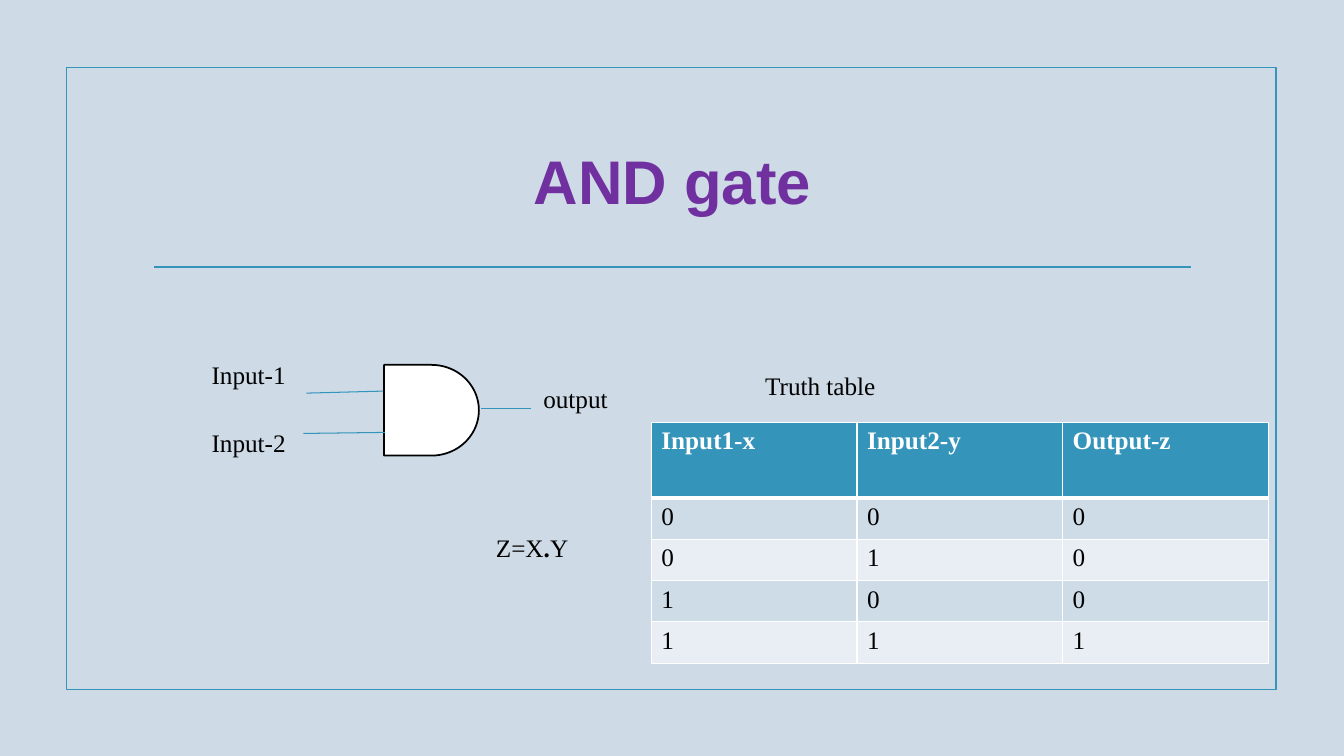
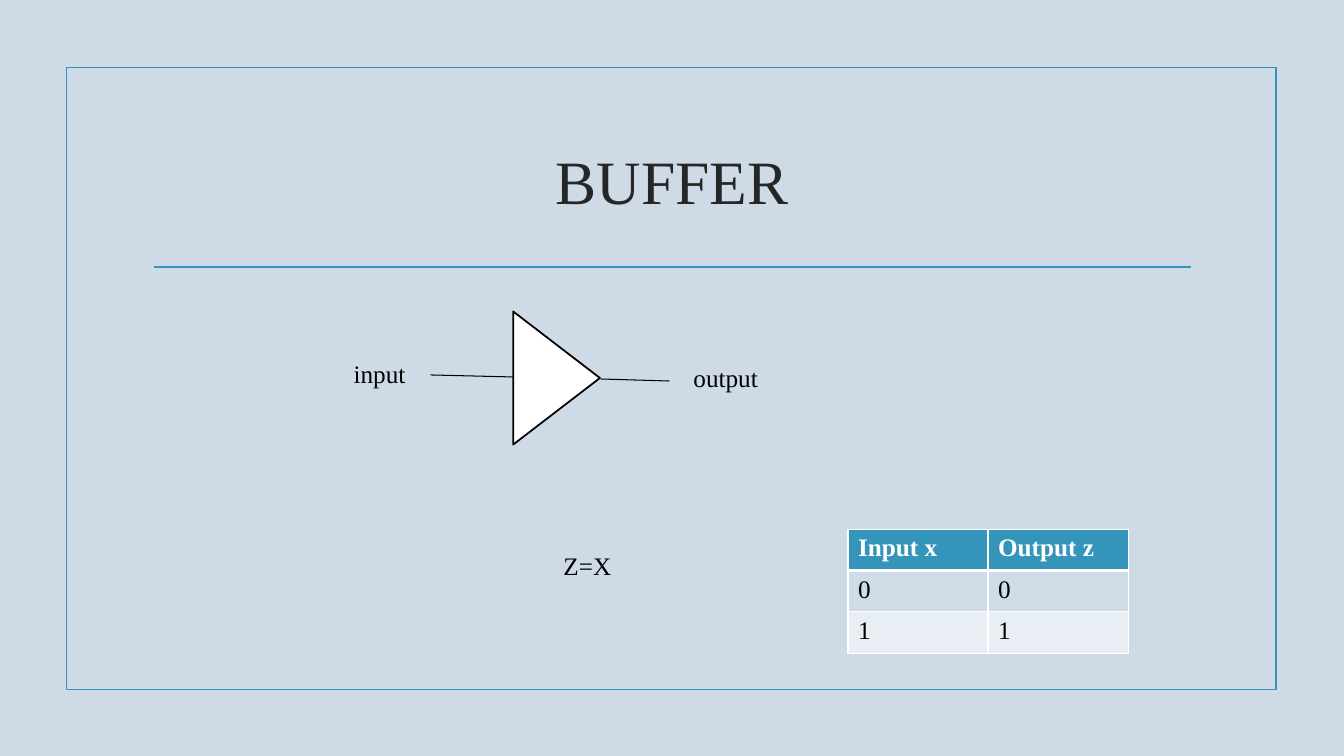
from dataclasses import dataclass

from lxml.etree import SubElement
from pptx import Presentation
from pptx.dml.color import RGBColor
from pptx.enum.shapes import MSO_CONNECTOR, MSO_SHAPE as SHAPE
from pptx.enum.text import MSO_ANCHOR as ANCHOR, MSO_AUTO_SIZE as AUTO, PP_ALIGN as ALIGN
from pptx.oxml.ns import qn
from pptx.util import Inches, Pt


@dataclass(frozen=True)
class Theme:
    background: str = "CEDBE6"
    accent: str = "3494BA"
    purple: str = "7030A0"
    dark: str = "262626"
    black: str = "000000"
    white: str = "FFFFFF"
    bands: tuple = ("CEDCE7", "E8EEF3")
    font: str = "Times New Roman"
    title_font: str = "Arial"
    title_size: int = 44
    body_size: int = 18
    line: float = 1.25
    thin: float = 0.75
    row: float = 0.41


T = Theme()


def rgb(color):
    return RGBColor.from_string(color)


# Text
def write(tf, text, font=T.font, size=T.body_size, color=T.black, bold=False, align=ALIGN.LEFT):
    """Write one paragraph; text is a string or a list of (string, bold) runs."""
    p = tf.paragraphs[0]
    p.alignment = align
    runs = [(text, bold)] if isinstance(text, str) else text
    for content, is_bold in runs:
        r = p.add_run()
        r.text = content
        r.font.name, r.font.size, r.font.bold = font, Pt(size), is_bold
        r.font.color.rgb = rgb(color)


def add_text(shapes, text, x, y, w, h=0.4, anchor=ANCHOR.TOP, grow=True, **fmt):
    tf = shapes.add_textbox(Inches(x), Inches(y), Inches(w), Inches(h)).text_frame
    tf.word_wrap = True
    tf.auto_size = AUTO.SHAPE_TO_FIT_TEXT if grow else AUTO.NONE
    tf.vertical_anchor = anchor
    write(tf, text, **fmt)


# Shapes and lines
def add_outline(shapes, kind, x, y, w, h, line=T.black, fill=None, rotation=0):
    sp = shapes.add_shape(kind, Inches(x), Inches(y), Inches(w), Inches(h))
    sp.shadow.inherit = False
    sp.rotation = rotation
    if fill:
        sp.fill.solid()
        sp.fill.fore_color.rgb = rgb(fill)
    else:
        sp.fill.background()
    sp.line.color.rgb = rgb(line)
    sp.line.width = Pt(T.line)


def add_line(shapes, x1, y1, x2, y2, color=T.accent, width=T.thin):
    ln = shapes.add_connector(MSO_CONNECTOR.STRAIGHT, Inches(x1), Inches(y1), Inches(x2), Inches(y2))
    ln.line.color.rgb = rgb(color)
    ln.line.width = Pt(width)
    SubElement(ln._element.spPr, qn("a:effectLst"))


# Truth table
def set_borders(cell, color, **widths):
    tc_pr = cell._tc.get_or_add_tcPr()
    for side, width in widths.items():
        ln = SubElement(tc_pr, qn(f"a:ln{side}"), w=str(Pt(width)))
        fill = SubElement(ln, qn("a:solidFill"))
        SubElement(fill, qn("a:srgbClr"), val=color)


def add_truth_table(s, rows, x, y, col_w, header_h=T.row):
    heights = [header_h] + [T.row] * (len(rows) - 1)
    n_cols = len(rows[0])
    table = s.shapes.add_table(len(rows), n_cols, Inches(x), Inches(y),
                               Inches(col_w * n_cols), Inches(sum(heights))).table
    table.horz_banding = False
    for col in table.columns:
        col.width = Inches(col_w)
    for i, (values, height) in enumerate(zip(rows, heights)):
        table.rows[i].height = Inches(height)
        header = i == 0
        for j, value in enumerate(values):
            cell = table.cell(i, j)
            set_borders(cell, T.white, L=1, R=1, T=3 if i == 1 else 1, B=3 if header else 1)
            cell.fill.solid()
            cell.fill.fore_color.rgb = rgb(T.accent if header else T.bands[(i - 1) % 2])
            write(cell.text_frame, value, bold=header, color=T.white if header else T.black)


# Shared frame and title
def new_slide(prs, title, **title_fmt):
    s = prs.slides.add_slide(prs.slide_layouts[6])
    s.background.fill.solid()
    s.background.fill.fore_color.rgb = rgb(T.background)
    add_outline(s.shapes, SHAPE.RECTANGLE, 0.66, 0.67, 12, 6.17, line=T.accent)
    add_line(s.shapes, 1.53, 2.65, 11.81, 2.65, width=T.line)
    add_text(s.shapes, title, 1.42, 1.07, 10.5, 1.43, anchor=ANCHOR.MIDDLE, grow=False,
             size=T.title_size, align=ALIGN.CENTER, **title_fmt)
    return s


def and_gate_slide(prs):
    s = new_slide(prs, "AND gate", font=T.title_font, color=T.purple, bold=True)

    # Gate symbol with its wires and labels
    gate = s.shapes.add_group_shape().shapes
    add_outline(gate, SHAPE.FLOWCHART_DELAY, 3.81, 3.62, 0.94, 0.9, fill=T.white)
    for wire in ((3.8, 3.88, 3.04, 3.9), (3.82, 4.29, 3.01, 4.3), (4.77, 4.05, 5.27, 4.05)):
        add_line(gate, *wire)
    for label, x, y, w in (("Input-1", 2, 3.52, 1.11), ("Input-2", 2, 4.19, 1.01),
                           ("output", 5.29, 3.75, 1.37)):
        add_text(gate, label, x, y, w, 0.44)

    # Truth table and formula
    rows = [("Input1-x", "Input2-y", "Output-z")]
    rows += [(str(x), str(y), str(x & y)) for x in (0, 1) for y in (0, 1)]
    add_truth_table(s, rows, 6.46, 4.19, 2.04, header_h=0.75)
    add_text(s.shapes, [("Z=X", False), (".", True), ("Y", False)], 4.82, 5.23, 0.95)
    add_text(s.shapes, "Truth table", 7.49, 3.62, 1.65)


def buffer_slide(prs):
    s = new_slide(prs, "BUFFER", color=T.dark)

    # Buffer symbol with its wires and labels
    buffer = s.shapes.add_group_shape().shapes
    add_outline(buffer, SHAPE.ISOSCELES_TRIANGLE, 4.86, 3.32, 1.32, 0.86, fill=T.white, rotation=90)
    for wire in ((5.09, 3.74, 4.27, 3.72), (5.96, 3.76, 6.64, 3.78)):
        add_line(buffer, *wire, color=T.black)
    add_text(buffer, "input", 3.41, 3.51, 0.86)
    add_text(buffer, "output", 6.78, 3.55, 1.04)

    # Truth table and formula
    rows = [("Input x", "Output z")] + [(str(x), str(x)) for x in (0, 1)]
    add_truth_table(s, rows, 8.41, 5.25, 1.39)
    add_text(s.shapes, "Z=X", 5.49, 5.41, 1.28)


def main():
    prs = Presentation()
    prs.slide_width, prs.slide_height = Inches(13.33), Inches(7.5)
    and_gate_slide(prs)
    buffer_slide(prs)
    prs.save("out.pptx")


if __name__ == "__main__":
    main()
